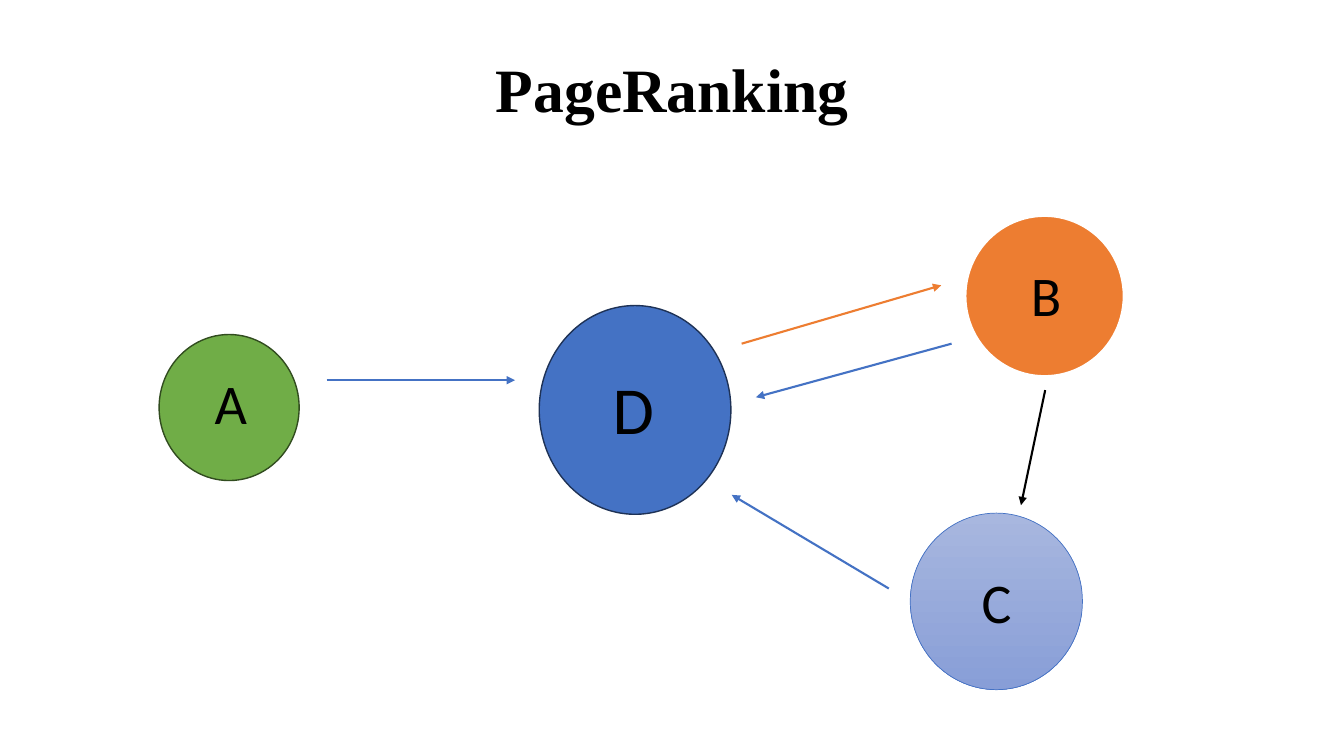
from pptx import Presentation
from pptx.dml.color import RGBColor
from pptx.enum import shapes, text
from pptx.oxml import ns
from pptx.util import Cm, Pt
from lxml import etree

COLORS = {
    "black": "000000", "white": "FFFFFF", "blue": "4472C4", "navy": "1E3256",
    "green": "70AD47", "forest": "314C1F", "orange": "ED7D31",
    "mist": "A8B7DF", "periwinkle": "889ED7",
}

NODES = [
    ("A", (4.01, 8.43, 3.53, 3.68), ["green"], "forest", 1, (1.15, 0.74, 2.03, 1.96), 40),
    ("D", (13.59, 7.7, 4.83, 5.26), ["blue"], "navy", 1, (1.6, 1.42, 2.54, 2.31), 48),
    ("B", (24.33, 5.44, 3.99, 4.04), ["orange"], "white", 1.5, (1.4, 1.01, 2.01, 1.96), 40),
    ("C", (22.94, 12.93, 4.34, 4.45), ["mist", "periwinkle"], "blue", 0.5, (1.55, 1.24, 1.96, 1.96), 40),
]

LINKS = [
    ((8.23, 9.58), (12.98, 9.58), "blue"),
    ((18.69, 8.66), (23.72, 7.19), "orange"),
    ((23.98, 8.66), (19.05, 10.01), "blue"),
    ((22.4, 14.83), (18.44, 12.47), "blue"),
    ((26.34, 9.83), (25.73, 12.73), "black"),
]


def color(name):
    return RGBColor.from_string(COLORS[name])


def style_para(para, font_name, size):
    para.font.name = font_name
    para.font.size = Pt(size)
    para.font.color.rgb = color("black")


def add_title(page, box, wording):
    title = page.shapes.title
    title.left, title.top, title.width, title.height = map(Cm, box)
    title.text_frame.text = wording
    title.text_frame.vertical_anchor = text.MSO_ANCHOR.MIDDLE
    para = title.text_frame.paragraphs[0]
    para.alignment = text.PP_ALIGN.CENTER
    para.line_spacing = 0.9
    style_para(para, "Times New Roman", 44)
    para.font.bold = True


def add_node(page, letter, box, fills, outline, weight, label_box, size):
    circle = page.shapes.add_shape(shapes.MSO_SHAPE.OVAL, *map(Cm, box))
    circle.shadow.inherit = False
    if len(fills) == 1:
        circle.fill.solid()
        circle.fill.fore_color.rgb = color(fills[0])
    else:
        circle.fill.gradient()
        circle.fill.gradient_angle = 270
        for stop, name in zip(circle.fill.gradient_stops, fills):
            stop.color.rgb = color(name)
    circle.line.color.rgb = color(outline)
    circle.line.width = Pt(weight)

    left, top, width, height = label_box
    label = page.shapes.add_textbox(Cm(box[0] + left), Cm(box[1] + top), Cm(width), Cm(height))
    frame = label.text_frame
    frame.word_wrap = True
    frame.auto_size = text.MSO_AUTO_SIZE.SHAPE_TO_FIT_TEXT
    frame.text = letter
    style_para(frame.paragraphs[0], "Calibri", size)


def add_link(page, start, end, name):
    arrow = page.shapes.add_connector(shapes.MSO_CONNECTOR.STRAIGHT, *map(Cm, start + end))
    arrow.line.color.rgb = color(name)
    arrow.line.width = Pt(1.5)
    properties = arrow._element.spPr
    outline = properties.find(ns.qn("a:ln"))
    etree.SubElement(outline, ns.qn("a:tailEnd"), type="triangle")
    etree.SubElement(properties, ns.qn("a:effectLst"))


def add_graph(page):
    for node in NODES:
        add_node(page, *node)
    for link in LINKS:
        add_link(page, *link)


def main():
    deck = Presentation()
    deck.slide_width, deck.slide_height = Cm(33.87), Cm(19.05)
    page = deck.slides.add_slide(deck.slide_layouts.get_by_name("Title Only"))
    add_title(page, (2.34, 0.48, 29.21, 3.68), "PageRanking")
    add_graph(page)
    deck.save("out.pptx")


if __name__ == "__main__":
    main()
